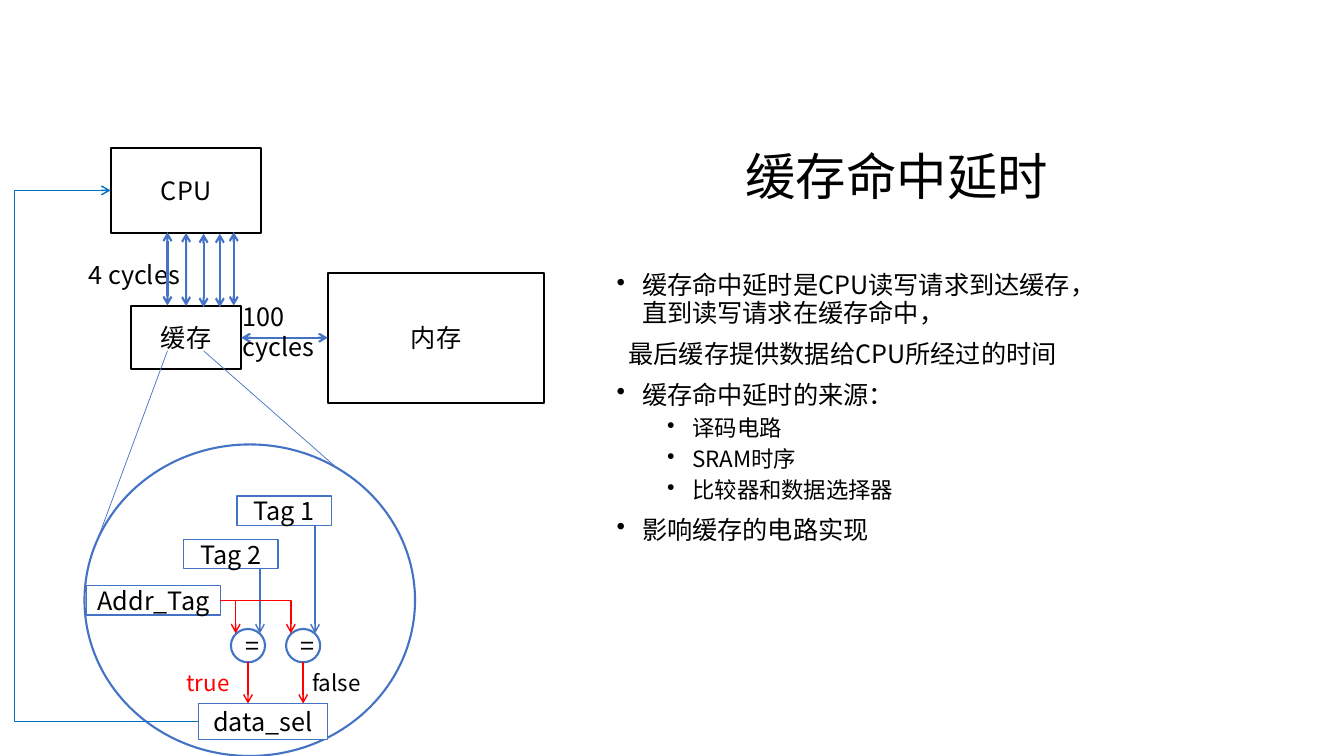
from lxml.etree import SubElement
from pptx import Presentation
from pptx.dml.color import RGBColor
from pptx.enum.shapes import MSO_CONNECTOR, MSO_SHAPE
from pptx.enum.text import MSO_ANCHOR, PP_ALIGN
from pptx.oxml.ns import qn
from pptx.util import Cm, Pt

BLACK = RGBColor(0x00, 0x00, 0x00)
WHITE = RGBColor(0xFF, 0xFF, 0xFF)
BLUE = RGBColor(0x44, 0x72, 0xC4)
AZURE = RGBColor(0x00, 0x70, 0xC0)
RED = RGBColor(0xFF, 0x00, 0x00)
FONT = "Noto Sans CJK SC"


def write(par, text, size=18, color=BLACK, align=None, line=None, before=0,
          left=0, bullet=False, level=0):
    par.level = level
    par.alignment = align
    props = par._p.get_or_add_pPr()
    props.set("marL", str(Cm(left)))
    props.set("indent", str(Cm(-0.64) if bullet else 0))
    if bullet:
        SubElement(props, qn("a:buChar"), char="•")
    if line:
        par.line_spacing = line
    par.space_before = Pt(before)
    run = par.add_run()
    run.text = text
    run.font.size = Pt(size)
    run.font.name = FONT
    run.font.color.rgb = color
    SubElement(run._r.get_or_add_rPr(), qn("a:ea"), typeface=FONT)


class Board:
    """Draws styled elements on one slide."""

    def __init__(self, slide):
        self.shapes = slide.shapes

    def label(self, place, rows, anchor=MSO_ANCHOR.TOP, **style):
        frame = self.shapes.add_textbox(*map(Cm, place)).text_frame
        frame.word_wrap = True
        frame.vertical_anchor = anchor
        for i, (text, extra) in enumerate(rows):
            par = frame.add_paragraph() if i else frame.paragraphs[0]
            write(par, text, **{**style, **extra})

    def node(self, place, text="", kind=MSO_SHAPE.RECTANGLE, color=BLUE, width=1):
        shape = self.shapes.add_shape(kind, *map(Cm, place))
        shape.shadow.inherit = False
        shape.fill.solid()
        shape.fill.fore_color.rgb = WHITE
        shape.line.color.rgb = color
        shape.line.width = Pt(width)
        if text:
            frame = shape.text_frame
            frame.vertical_anchor = MSO_ANCHOR.MIDDLE
            write(frame.paragraphs[0], text, align=PP_ALIGN.CENTER)
        return shape

    def link(self, start, end, color=BLUE, width=1, ends=("tail",),
             kind=MSO_CONNECTOR.STRAIGHT):
        wire = self.shapes.add_connector(kind, *map(Cm, start + end))
        wire.line.color.rgb = color
        wire.line.width = Pt(width)
        for end_name in ends:
            SubElement(wire.line._get_or_add_ln(), qn(f"a:{end_name}End"), type="arrow")
        SubElement(wire._element.spPr, qn("a:effectLst"))
        return wire

    def bend(self, start, end, color, preset, adjust=None):
        wire = self.link(start, end, color, kind=MSO_CONNECTOR.ELBOW)
        shape = wire._element.spPr.find(qn("a:prstGeom"))
        shape.set("prst", preset)
        if adjust:
            values = shape.find(qn("a:avLst"))
            SubElement(values, qn("a:gd"), name="adj1", fmla=f"val {adjust}")


def main():
    deck = Presentation()
    deck.slide_width, deck.slide_height = Cm(33.87), Cm(19.05)
    board = Board(deck.slides.add_slide(deck.slide_layouts[6]))

    board.label((18.54, 1.75, 13.54, 3.58), [("缓存命中延时", {})],
                anchor=MSO_ANCHOR.BOTTOM, size=36, line=0.9)
    point = dict(bullet=True, left=0.64, before=10)
    item = dict(bullet=True, left=1.91, before=5, size=16, level=1)
    board.label((15.29, 6.76, 12.42, 7.57), [
        ("缓存命中延时是CPU读写请求到达缓存，直到读写请求在缓存命中，", {**point, "before": 0}),
        ("最后缓存提供数据给CPU所经过的时间", dict(left=0.3, before=10)),
        ("缓存命中延时的来源：", point),
        ("译码电路", item),
        ("SRAM时序", item),
        ("比较器和数据选择器", item),
        ("影响缓存的电路实现", point),
    ], line=0.9)

    frame = dict(color=BLACK, width=1.5)
    both = dict(width=1.5, ends=("head", "tail"))
    cpu = board.node((2.79, 3.73, 3.8, 2.14), "CPU", **frame)
    memory = board.node((8.26, 6.87, 5.46, 3.28), "内存", **frame)
    cache = board.node((3.3, 7.71, 2.78, 1.6), "缓存", **frame)
    for one, side, two, other in ((cache, 3, memory, 1), (cpu, 2, cache, 0)):
        wire = board.link((0, 0), (1, 1), **both)
        wire.begin_connect(one, side)
        wire.end_connect(two, other)
    board.label((1.98, 6.4, 3.3, 1.02), [("4 cycles", {})])
    board.label((5.87, 7.47, 2.59, 1.8), [("100", {}), ("cycles", {})])
    for x, y in ((4.22, 5.85), (5.13, 5.89), (5.54, 5.89), (5.89, 5.85)):
        board.link((x, y), (x, y + 1.85), **both)

    for start, end in (((4.22, 8.84), (2.49, 13.51)), ((5.13, 8.84), (8.92, 12.17))):
        board.link(start, end, width=0.5, ends=())
    board.node((2.13, 11.2, 8.33, 7.85), kind=MSO_SHAPE.OVAL, width=1.5)
    board.node((5.97, 12.5, 2.39, 0.74), "Tag 1")
    board.node((4.62, 13.59, 2.39, 0.74), "Tag 2")
    board.node((2.18, 14.76, 3.38, 0.74), "Addr_Tag")

    step = 1.39
    tests = (("true", RED, 4.45, 14.33), ("false", BLACK, 7.62, 13.24))
    for i, (word, color, left, top) in enumerate(tests):
        x = 5.82 + i * step
        board.node((x, 15.85, 0.86, 0.84), "=", kind=MSO_SHAPE.OVAL, width=1.5)
        board.bend((5.55, 15.13), (x + 0.12, 15.96), RED, "bentConnector2")
        board.link((x + 0.73, top), (x + 0.73, 15.96))
        board.link((x + 0.43, 16.67), (x + 0.43, 17.73), RED)
        board.label((left, 16.74, 1.98, 0.94), [(word, {})], size=16, color=color)
    board.node((5, 17.73, 3.25, 0.91), "data_sel")
    board.bend((5, 18.19), (2.79, 4.8), AZURE, "bentConnector3", 209300)

    deck.save("out.pptx")


if __name__ == "__main__":
    main()
